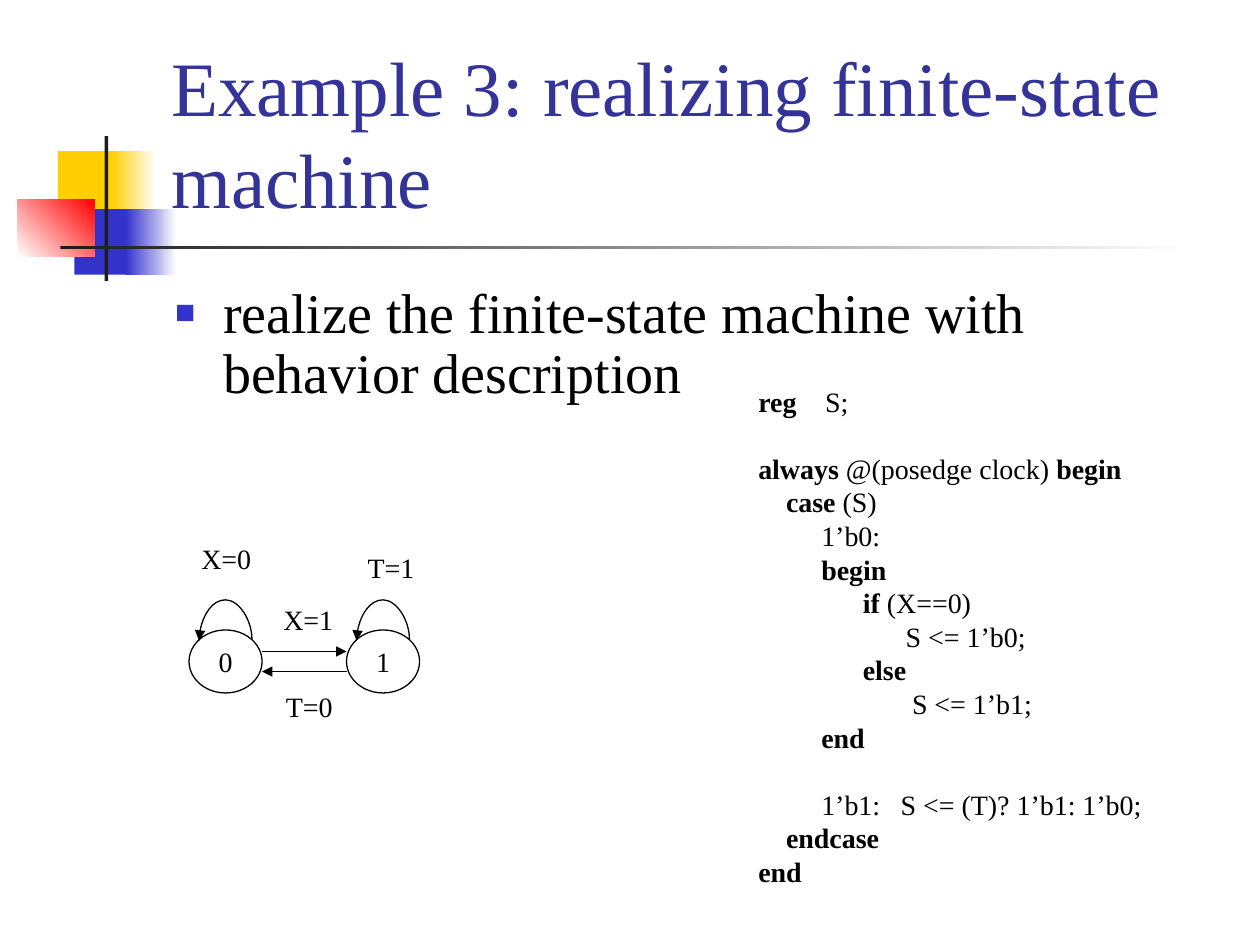
from lxml.etree import SubElement
from pptx import Presentation
from pptx.dml.color import RGBColor
from pptx.enum.shapes import MSO_CONNECTOR, MSO_SHAPE
from pptx.enum.text import MSO_ANCHOR, PP_ALIGN
from pptx.oxml.ns import qn
from pptx.util import Inches, Pt

FONT = "Times New Roman"
COLORS = {"yellow": "FFCF01", "blue": "3333CC", "red": "FF0000", "dark": "1C1C1C",
          "white": "FFFFFF", "title": "333399", "text": "000000"}

TITLE = "Example 3: realizing finite-state machine"
BULLET = "realize the finite-state machine with behavior description"

# Left, top, width, height, colours (two make a gradient), gradient angle
DECORATION = [
    (0.46, 1.2, 0.48, 0.52, ["yellow"], 0),
    (0.88, 1.2, 0.36, 0.52, ["yellow", "white"], 0),
    (0.59, 1.66, 0.46, 0.52, ["blue"], 0),
    (1, 1.66, 0.4, 0.52, ["blue", "white"], 0),
    (0.14, 1.58, 0.61, 0.46, ["white", "red"], 45),
    (0.83, 1.08, 0.03, 1.15, ["dark"], 0),
    (0.48, 1.95, 9, 0.03, ["dark", "white"], 0),
]

# State machine: states by left edge, transitions by start and end, labels
STATES = [("0", 1.5), ("1", 2.75)]
STATE_TOP, STATE_WIDTH, STATE_HEIGHT = 5, 0.58, 0.5
TRANSITIONS = [(2.08, 2.75, 5.17), (2.75, 2.08, 5.33)]
LABELS = [("X=0", 1.5, 4.25), ("X=1", 2.15, 4.73),
          ("T=1", 2.82, 4.32), ("T=0", 2.17, 5.42)]

# Code lines: left margin, first-line indent, blank lines before, (text, bold) runs
CODE = [
    (0.53, -0.53, 0, [("reg", True), ("\tS;", False)]),
    (0, 0, 1, [("always", True), (" @(posedge clock) ", False), ("begin", True)]),
    (0.22, 0, 0, [("case", True), (" (S)", False)]),
    (0.5, 0, 0, [("1’b0:", False)]),
    (0.5, 0, 0, [("begin", True)]),
    (0.83, 0, 0, [("if", True), (" (X==0)", False)]),
    (1.17, 0, 0, [("S <= 1’b0;", False)]),
    (0.83, 0, 0, [("else", True)]),
    (1.22, 0, 0, [("S <= 1’b1;", False)]),
    (0.5, 0, 0, [("end", True)]),
    (1.13, -0.63, 1, [("1’b1:\tS <= (T)? 1’b1: 1’b0;", False)]),
    (0.22, 0, 0, [("endcase", True)]),
    (0, 0, 0, [("end", True)]),
]
CODE_LINE = 19.2


def color(name):
    return RGBColor.from_string(COLORS[name])


def style(paragraph, size, name="text"):
    paragraph.font.name = FONT
    paragraph.font.size = Pt(size)
    paragraph.font.color.rgb = color(name)


def place(shape, left, top, width, height):
    shape.left, shape.top = Inches(left), Inches(top)
    shape.width, shape.height = Inches(width), Inches(height)


def set_indent(paragraph, margin, indent):
    properties = paragraph._p.get_or_add_pPr()
    properties.set("marL", str(Inches(margin)))
    properties.set("indent", str(Inches(indent)))
    return properties


def add_arrow(slide, kind, start, end):
    arrow = slide.shapes.add_connector(kind, *map(Inches, start + end))
    arrow.line.color.rgb = color("text")
    arrow.line.width = Pt(0.75)
    SubElement(arrow.line._get_or_add_ln(), qn("a:tailEnd"), type="triangle")
    SubElement(arrow._element.spPr, qn("a:effectLst"))
    return arrow


def add_loop(slide, state_left):
    """Curve over a state: an upright connector turned a quarter to the left."""
    middle_x, middle_y = state_left + 0.29, 5.08
    thickness, span, rise = 0.01, 0.42, 0.32
    loop = add_arrow(slide, MSO_CONNECTOR.CURVE,
                     (middle_x + thickness / 2, middle_y + span / 2),
                     (middle_x - thickness / 2, middle_y - span / 2))
    properties = loop._element.spPr
    properties.find(qn("a:xfrm")).set("rot", str(270 * 60000))
    guides = properties.find(qn("a:prstGeom")).find(qn("a:avLst"))
    SubElement(guides, qn("a:gd"), name="adj1",
               fmla=f"val {round(-rise / thickness * 100000)}")


def add_text_box(slide, left, top, width, height, wrap=False):
    box = slide.shapes.add_textbox(*map(Inches, (left, top, width, height)))
    box.text_frame.word_wrap = wrap
    return box.text_frame


def add_decoration(slide):
    for *area, names, angle in DECORATION:
        block = slide.shapes.add_shape(MSO_SHAPE.RECTANGLE, *map(Inches, area))
        block.shadow.inherit = False
        block.line.fill.background()
        if len(names) == 1:
            block.fill.solid()
            block.fill.fore_color.rgb = color(names[0])
        else:
            block.fill.gradient()
            block.fill.gradient_angle = angle
            for stop, name, position in zip(block.fill.gradient_stops, names, (0, 1)):
                stop.color.rgb = color(name)
                stop.position = position


def fill_placeholders(slide):
    title, body = slide.shapes.title, slide.placeholders[1]
    for shape in (title, body):
        slide.shapes._spTree.append(shape._element)  # in front of the decoration

    place(title, 1.26, 0.23, 8.52, 1.6)
    title.text_frame.text = TITLE
    title.text_frame.vertical_anchor = MSO_ANCHOR.BOTTOM
    title.text_frame.paragraphs[0].alignment = PP_ALIGN.LEFT
    style(title.text_frame.paragraphs[0], 44, "title")

    place(body, 1.29, 2.21, 8.5, 1.13)
    body.text_frame.text = BULLET
    paragraph = body.text_frame.paragraphs[0]
    style(paragraph, 32)
    paragraph.line_spacing = 0.9
    paragraph.space_before = Pt(6.4)
    properties = set_indent(paragraph, 0.38, -0.38)
    bullet = [SubElement(properties, qn("a:buClr")),
              SubElement(properties, qn("a:buSzPct"), val="60000"),
              SubElement(properties, qn("a:buFont"), typeface=FONT),
              SubElement(properties, qn("a:buChar"), char="■")]
    SubElement(bullet[0], qn("a:srgbClr"), val=COLORS["blue"])
    properties.append(properties.find(qn("a:defRPr")))  # schema order: after bullets


def add_state_machine(slide):
    for name, left in STATES:
        state = slide.shapes.add_shape(
            MSO_SHAPE.OVAL, *map(Inches, (left, STATE_TOP, STATE_WIDTH, STATE_HEIGHT)))
        state.shadow.inherit = False
        state.fill.background()
        state.line.color.rgb = color("text")
        state.line.width = Pt(0.75)
        frame = state.text_frame
        frame.word_wrap = False
        frame.vertical_anchor = MSO_ANCHOR.MIDDLE
        frame.text = name
        frame.paragraphs[0].alignment = PP_ALIGN.CENTER
        style(frame.paragraphs[0], 16)
        add_loop(slide, left)
    for start, end, y in TRANSITIONS:
        add_arrow(slide, MSO_CONNECTOR.STRAIGHT, (start, y), (end, y))
    for text, left, top in LABELS:
        frame = add_text_box(slide, left, top, 0.6, 0.37)
        frame.text = text
        style(frame.paragraphs[0], 16)


def add_code(slide):
    frame = add_text_box(slide, 5.92, 3, 3.4, 4.11, wrap=True)
    for index, (margin, indent, blanks, runs) in enumerate(CODE):
        paragraph = frame.add_paragraph() if index else frame.paragraphs[0]
        style(paragraph, 16)
        set_indent(paragraph, margin, indent)
        paragraph.space_before = Pt(blanks * CODE_LINE)
        for text, bold in runs:
            run = paragraph.add_run()
            run.text = text
            run.font.bold = bold


def main():
    presentation = Presentation()
    presentation.slide_width, presentation.slide_height = Inches(10), Inches(7.5)
    slide = presentation.slides.add_slide(presentation.slide_layouts[1])
    add_decoration(slide)
    fill_placeholders(slide)
    add_state_machine(slide)
    add_code(slide)
    presentation.save("out.pptx")


if __name__ == "__main__":
    main()
